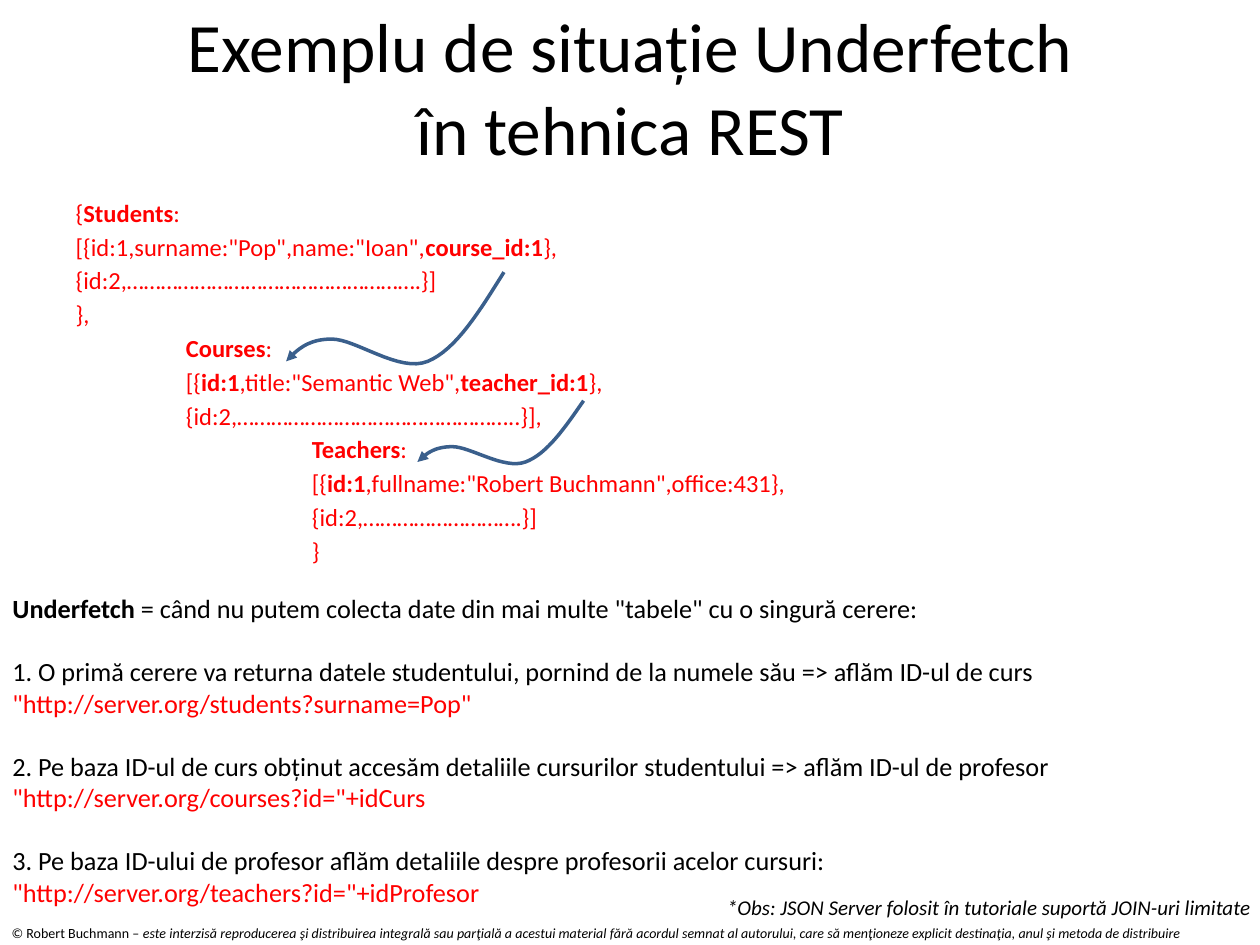
from dataclasses import dataclass

from lxml import etree
from pptx import Presentation
from pptx.dml.color import RGBColor
from pptx.enum.text import MSO_ANCHOR, MSO_AUTO_SIZE, PP_ALIGN
from pptx.oxml.ns import qn
from pptx.util import Pt

LEFT, CENTER = PP_ALIGN.LEFT, PP_ALIGN.CENTER
TOP, MIDDLE = MSO_ANCHOR.TOP, MSO_ANCHOR.MIDDLE
NO_FIT = MSO_AUTO_SIZE.NONE


@dataclass(frozen=True)
class Theme:
    font: str = "Calibri"
    ink: RGBColor = RGBColor(0, 0, 0)
    code: RGBColor = RGBColor(0xFF, 0, 0)
    arrow: RGBColor = RGBColor(0x3A, 0x5F, 0x8C)
    title_size: float = 39.6
    note_size: float = 15
    code_size: float = 14
    remark_size: float = 12
    footer_size: float = 8


# Text between bars is emphasised. Each code group: level, left indent, lines.
CODE_GROUPS = [
    (0, 0, ["{|Students|:",
            '[{id:1,surname:"Pop",name:"Ioan",|course_id:1|},',
            "{id:2,…………………………………………….}]",
            "},"]),
    (2, 63, ["|Courses|:",
             '[{|id:1|,title:"Semantic Web",|teacher_id:1|},',
             "{id:2,…………………………………………..}],"]),
    (4, 135, ["|Teachers|:",
              '[{|id:1|,fullname:"Robert Buchmann",office:431},',
              "{id:2,……………………….}]",
              "}"]),
]
DEFINITION = ('|Underfetch| = când nu putem colecta date din mai multe "tabele" '
              "cu o singură cerere:")
REQUESTS = [
    ("1. O primă cerere va returna datele studentului, pornind de la numele său "
     "=> aflăm ID-ul de curs",
     '"http://server.org/students?surname=Pop"'),
    ("2. Pe baza ID-ul de curs obținut accesăm detaliile cursurilor studentului "
     "=> aflăm ID-ul de profesor",
     '"http://server.org/courses?id="+idCurs'),
    ("3. Pe baza ID-ului de profesor aflăm detaliile despre profesorii acelor cursuri:",
     '"http://server.org/teachers?id="+idProfesor'),
]
REMARK = "|*Obs: JSON Server folosit în tutoriale suportă JOIN-uri limitate|"
FOOTER = ("© Robert Buchmann – |este interzisă reproducerea şi distribuirea integrală "
          "sau parţială a acestui material fără acordul semnat al autorului, care să "
          "menţioneze explicit destinaţia, anul şi metoda de distribuire|")

# Bezier segments as fractions of the way from start to end.
WAVE = [
    [(0, 0), (0.11, 0.43), (0.22, 0.87), (0.35, 1)],
    [(0.35, 1), (0.48, 1.13), (0.68, 0.75), (0.79, 0.75)],
    [(0.79, 0.75), (0.9, 0.75), (0.95, 0.87), (1, 1)],
]
STEPS = 16


def bezier(points, t):
    weights = ((1 - t) ** 3, 3 * t * (1 - t) ** 2, 3 * t * t * (1 - t), t ** 3)
    return tuple(sum(w * p[axis] for w, p in zip(weights, points)) for axis in (0, 1))


class SlideBuilder:
    def __init__(self, page, theme):
        self.page = page
        self.theme = theme

    def place(self, box, left, top, width, height, anchor=TOP):
        box.left, box.top, box.width, box.height = map(Pt, (left, top, width, height))
        frame = box.text_frame
        frame.word_wrap = True
        frame.auto_size = NO_FIT
        frame.vertical_anchor = anchor
        return frame

    def fill_para(self, para, text, size, color, italic=False, before=0):
        """Fill a paragraph; parts between bars turn bold, or italic if asked."""
        para.alignment = LEFT
        para.space_before = Pt(before)
        for index, part in enumerate(text.split("|")):
            if not part:
                continue
            span = para.add_run()
            span.text = part
            span.font.name = self.theme.font
            span.font.size = Pt(size)
            span.font.color.rgb = color
            if index % 2:
                span.font.italic = italic
                span.font.bold = not italic

    def title(self, text, *bounds):
        frame = self.place(self.page.shapes.title, *bounds, anchor=MIDDLE)
        para = frame.paragraphs[0]
        para.text = text
        para.alignment = CENTER
        for span in para.runs:
            span.font.name = self.theme.font
            span.font.size = Pt(self.theme.title_size)
            span.font.color.rgb = self.theme.ink

    def code(self, groups, *bounds):
        frame = self.place(self.page.placeholders[1], *bounds)
        lines = [(level, indent, line) for level, indent, group in groups for line in group]
        for index, (level, indent, line) in enumerate(lines):
            para = frame.add_paragraph() if index else frame.paragraphs[0]
            para.level = level
            self.fill_para(para, line, self.theme.code_size, self.theme.code, before=2.5)
            properties = para._p.get_or_add_pPr()
            properties.set("marL", str(Pt(indent)))
            properties.set("indent", "0")
            etree.SubElement(properties, qn("a:buNone"))

    def text_box(self, *bounds):
        return self.place(self.page.shapes.add_textbox(0, 0, 0, 0), *bounds)

    def requests(self, definition, requests, *bounds):
        theme = self.theme
        frame = self.text_box(*bounds)
        self.fill_para(frame.paragraphs[0], definition, theme.note_size, theme.ink)
        for step, address in requests:
            self.fill_para(frame.add_paragraph(), step, theme.note_size, theme.ink, before=18)
            self.fill_para(frame.add_paragraph(), address, theme.note_size, theme.code)

    def small_print(self, text, size, *bounds, inset=7.2):
        frame = self.text_box(*bounds)
        frame.margin_left = Pt(inset)
        self.fill_para(frame.paragraphs[0], text, size, self.theme.ink, italic=True)

    def wavy_arrow(self, start, end):
        (x0, y0), (x1, y1) = start, end
        points = [bezier(segment, step / STEPS)
                  for segment in WAVE for step in range(1, STEPS + 1)]
        builder = self.page.shapes.build_freeform(Pt(x0), Pt(y0))
        builder.add_line_segments(
            [(Pt(x0 + u * (x1 - x0)), Pt(y0 + v * (y1 - y0))) for u, v in points],
            close=False)
        curve = builder.convert_to_shape()
        curve.shadow.inherit = False
        curve.fill.background()
        curve.line.color.rgb = self.theme.arrow
        curve.line.width = Pt(2)
        outline = curve._element.spPr.find(qn("a:ln"))
        etree.SubElement(outline, qn("a:tailEnd"), type="triangle")


def main():
    deck = Presentation()
    deck.slide_width, deck.slide_height = Pt(720), Pt(540)
    theme = Theme()
    builder = SlideBuilder(deck.slides.add_slide(deck.slide_layouts[1]), theme)

    builder.small_print(FOOTER, theme.footer_size, -0.5, 525, 721, 17)
    builder.title("Exemplu de situație Underfetch\vîn tehnica REST", 36, 21.6, 648, 55.4)
    builder.code(CODE_GROUPS, 36, 109.5, 648, 234)
    builder.small_print(REMARK, theme.remark_size, 405.5, 507.5, 354, 21.6, inset=10)
    builder.requests(DEFINITION, REQUESTS, 0, 335, 669, 189)
    builder.wavy_arrow((288, 155.5), (163.5, 206.5))
    builder.wavy_arrow((333.5, 229), (238.5, 264))

    deck.save("out.pptx")


if __name__ == "__main__":
    main()
